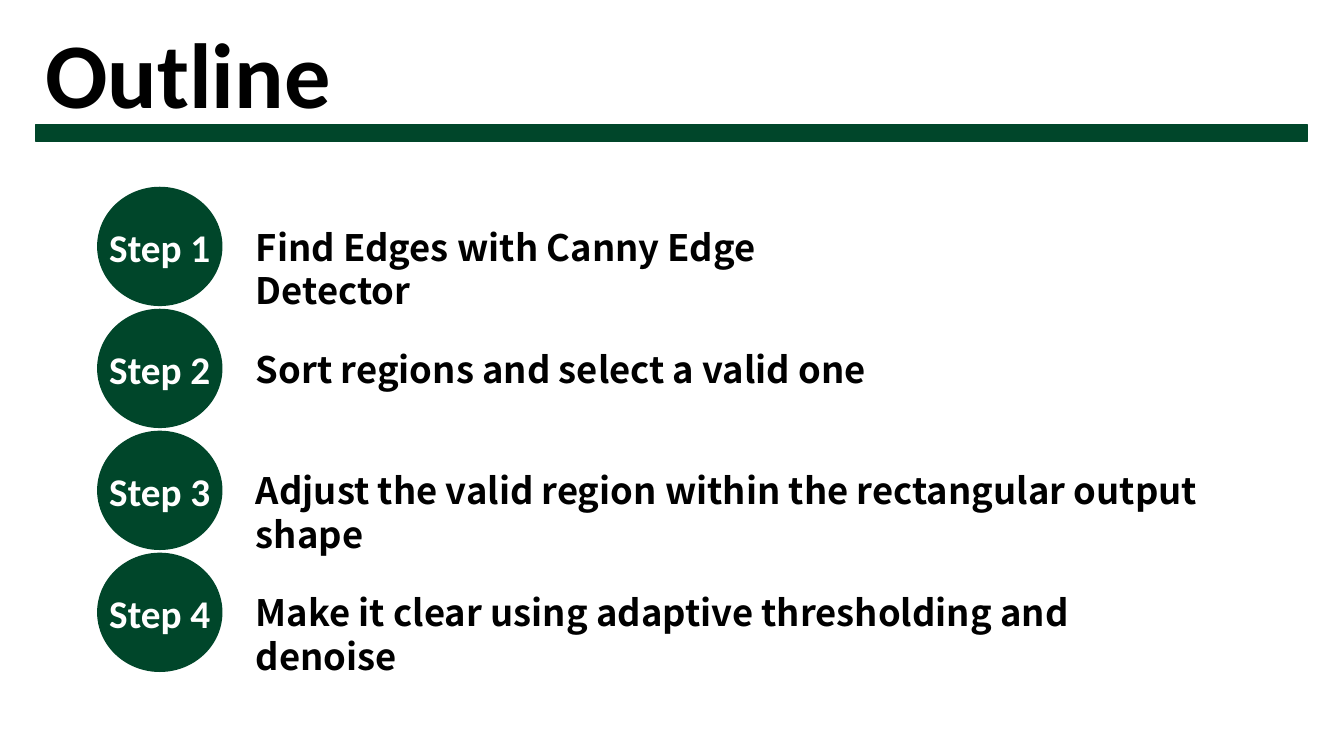
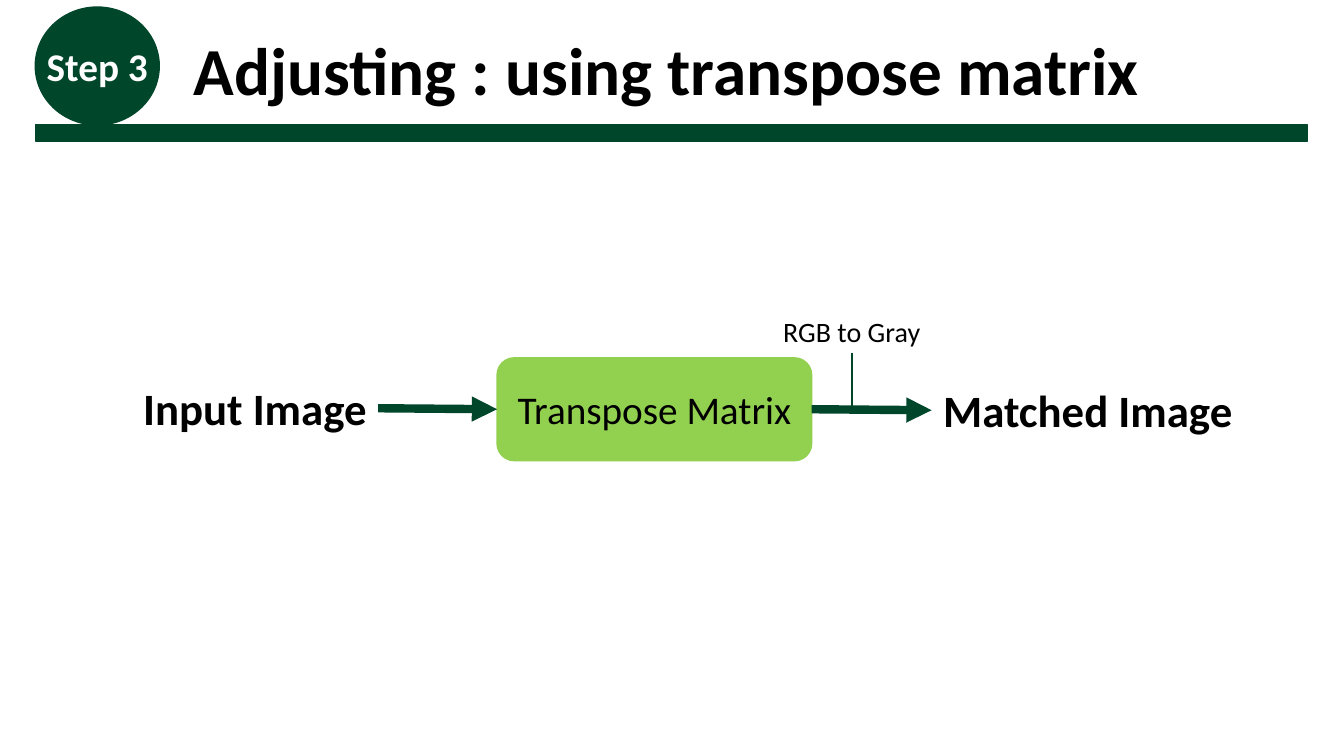
from dataclasses import dataclass

from pptx import Presentation
from pptx.dml.color import RGBColor
from pptx.enum.shapes import MSO_CONNECTOR, MSO_SHAPE
from pptx.enum.text import MSO_ANCHOR, PP_ALIGN
from pptx.oxml.ns import qn
from pptx.shapes.autoshape import Shape
from pptx.shapes.connector import Connector
from pptx.slide import Slide
from pptx.util import Inches, Pt
from lxml import etree

RECTANGLE = MSO_SHAPE.RECTANGLE
ROUNDED = MSO_SHAPE.ROUNDED_RECTANGLE
OVAL = MSO_SHAPE.OVAL
STRAIGHT = MSO_CONNECTOR.STRAIGHT
MIDDLE = MSO_ANCHOR.MIDDLE
LEFT = PP_ALIGN.LEFT
CENTER = PP_ALIGN.CENTER
LEFT_SIDE, RIGHT_SIDE = 1, 3


@dataclass(frozen=True)
class Theme:
    green: RGBColor = RGBColor(0x00, 0x46, 0x2A)
    lime: RGBColor = RGBColor(0x92, 0xD0, 0x50)
    black: RGBColor = RGBColor(0, 0, 0)
    white: RGBColor = RGBColor(255, 255, 255)
    font: str = "Calibri"
    step_font: str = "Noto Sans CJK KR"
    outline_title: int = 66
    title: int = 48
    endpoint: int = 32
    label: int = 28
    step: int = 26
    note: int = 20


THEME = Theme()


@dataclass(frozen=True)
class Box:
    left: float
    top: float
    width: float
    height: float


@dataclass(frozen=True)
class TextStyle:
    size: int
    bold: bool = True
    color: RGBColor = THEME.black
    font: str = THEME.font
    align: PP_ALIGN = LEFT


@dataclass(frozen=True)
class Step:
    text: str
    width: float


STEPS = (
    Step("Find Edges with Canny Edge Detector", 6.6),
    Step("Sort regions and select a valid one", 6.3),
    Step("Adjust the valid region within the rectangular output shape", 10.5),
    Step("Make it clear using adaptive thresholding and denoise", 9.6),
)
STEP_TOP, STEP_PITCH = 1.86, 1.21
BADGE_WIDTH, BADGE_HEIGHT = 1.23, 1.17


def write(shape: Shape, text: str, style: TextStyle, wrap: bool = False) -> None:
    frame = shape.text_frame
    frame.text = text
    frame.word_wrap = wrap
    paragraph = frame.paragraphs[0]
    paragraph.alignment = style.align
    font = paragraph.runs[0].font
    font.name = style.font
    font.size = Pt(style.size)
    font.bold = style.bold
    font.color.rgb = style.color


def add_text(slide: Slide, box: Box, text: str, style: TextStyle, wrap: bool = False) -> Shape:
    shape = slide.shapes.add_textbox(
        Inches(box.left), Inches(box.top), Inches(box.width), Inches(box.height))
    write(shape, text, style, wrap)
    return shape


def add_filled(slide: Slide, kind: MSO_SHAPE, box: Box, color: RGBColor) -> Shape:
    shape = slide.shapes.add_shape(
        kind, Inches(box.left), Inches(box.top), Inches(box.width), Inches(box.height))
    shape.shadow.inherit = False
    shape.fill.solid()
    shape.fill.fore_color.rgb = color
    shape.line.color.rgb = color
    shape.line.width = Pt(1)
    shape.text_frame.vertical_anchor = MIDDLE
    return shape


def add_badge(slide: Slide, left: float, top: float, number: int) -> None:
    badge = add_filled(slide, OVAL, Box(left, top, BADGE_WIDTH, BADGE_HEIGHT), THEME.green)
    write(badge, f"Step {number}", TextStyle(THEME.label, color=THEME.white, align=CENTER))


def add_line(slide: Slide, start: tuple[float, float], end: tuple[float, float],
             width: float) -> Connector:
    line = slide.shapes.add_connector(
        STRAIGHT, Inches(start[0]), Inches(start[1]), Inches(end[0]), Inches(end[1]))
    line.line.color.rgb = THEME.green
    line.line.width = Pt(width)
    etree.SubElement(line._element.spPr, qn("a:effectLst"))
    return line


def add_arrow(slide: Slide, source: Shape, target: Shape) -> None:
    arrow = add_line(slide, (0, 0), (1, 1), 6)
    arrow.begin_connect(source, RIGHT_SIDE)
    arrow.end_connect(target, LEFT_SIDE)
    etree.SubElement(arrow.line._get_or_add_ln(), qn("a:tailEnd"), type="triangle")


def add_slide(presentation: Presentation, title: str, box: Box, size: int) -> Slide:
    slide = presentation.slides.add_slide(presentation.slide_layouts[6])
    add_filled(slide, RECTANGLE, Box(0.35, 1.24, 12.62, 0.16), THEME.green)
    add_text(slide, box, title, TextStyle(size))
    return slide


def build_outline(presentation: Presentation) -> None:
    slide = add_slide(presentation, "Outline", Box(0.35, 0.11, 8.68, 1.21), THEME.outline_title)
    style = TextStyle(THEME.step, font=THEME.step_font)
    for index, step in enumerate(STEPS):
        top = STEP_TOP + index * STEP_PITCH
        add_badge(slide, 0.97, top, index + 1)
        add_text(slide, Box(2.44, top + 0.32, step.width, 0.54), step.text, style, wrap=True)


def build_adjusting(presentation: Presentation) -> None:
    slide = add_slide(presentation, "Adjusting : using transpose matrix",
                      Box(1.82, 0.23, 9.68, 0.91), THEME.title)
    add_badge(slide, 0.35, 0.07, 3)
    endpoint = TextStyle(THEME.endpoint, align=CENTER)
    source = add_text(slide, Box(1.31, 3.73, 2.44, 0.64), "Input Image", endpoint)
    matrix = add_filled(slide, ROUNDED, Box(4.93, 3.55, 3.12, 1.02), THEME.lime)
    write(matrix, "Transpose Matrix", TextStyle(THEME.label, bold=False, align=CENTER))
    result = add_text(slide, Box(9.24, 3.75, 3.1, 0.64), "Matched Image", endpoint)
    add_arrow(slide, source, matrix)
    add_arrow(slide, matrix, result)
    add_text(slide, Box(7.67, 3.07, 1.57, 0.44), "RGB to Gray", TextStyle(THEME.note, bold=False))
    add_line(slide, (8.45, 3.5), (8.45, 4.05), 1.5)


def main() -> None:
    presentation = Presentation()
    presentation.slide_width = Inches(13.33)
    presentation.slide_height = Inches(7.5)
    build_outline(presentation)
    build_adjusting(presentation)
    presentation.save("out.pptx")


if __name__ == "__main__":
    main()
